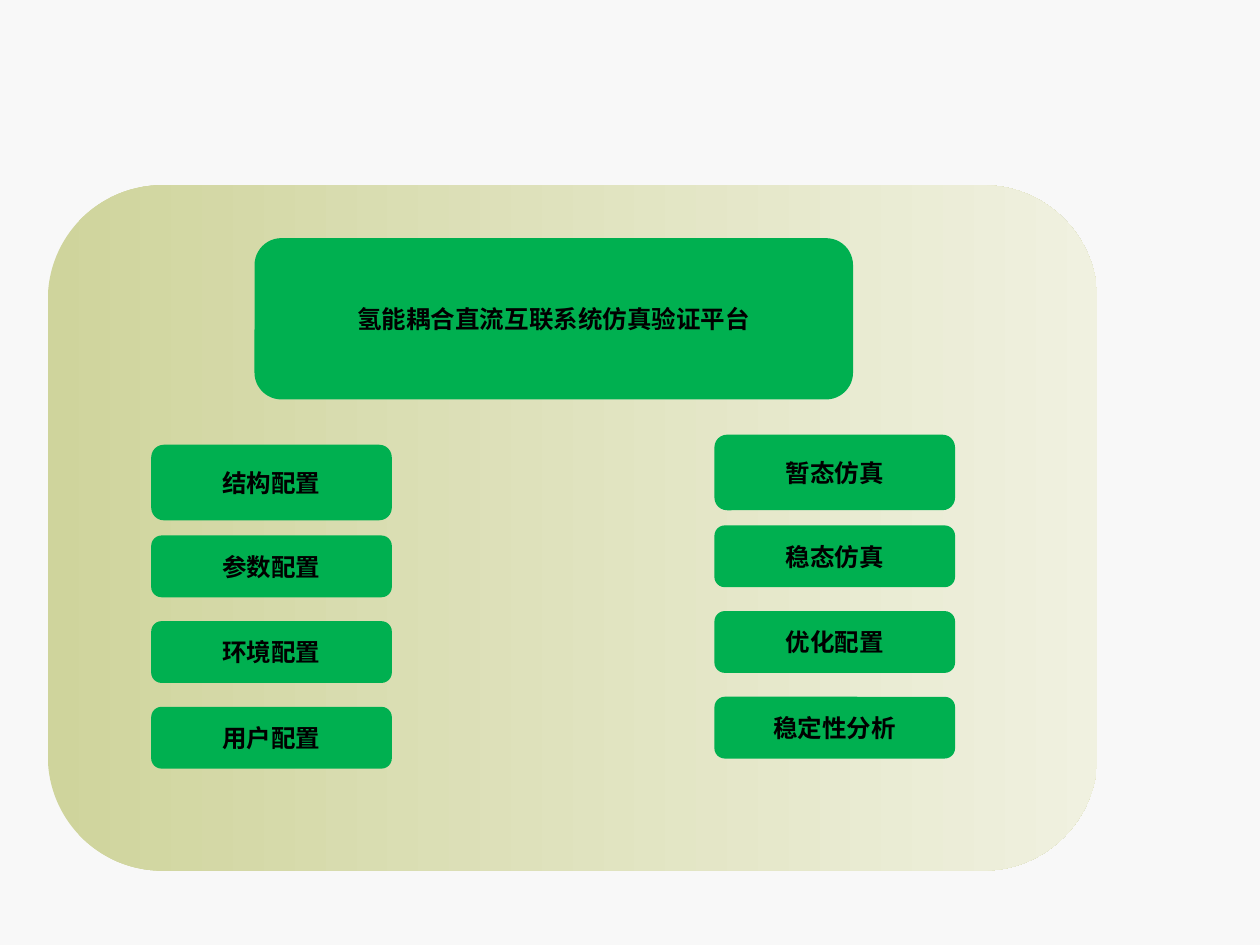
from dataclasses import dataclass

import pptx
import pptx.dml.color
import pptx.enum.shapes
import pptx.enum.text
import pptx.util

Inches = pptx.util.Inches
RGB = pptx.dml.color.RGBColor.from_string


@dataclass(frozen=True)
class Theme:
    background: str = "F8F8F8"
    panel_start: str = "CFD49C"
    panel_end: str = "F0F1E0"
    box: str = "00B050"
    text: str = "000000"
    font: str = "Arial"
    size: int = 14


class Deck:
    def __init__(self, prs, theme):
        self.theme = theme
        self.slide = prs.slides.add_slide(prs.slide_layouts[6])
        fill = self.slide.background.fill
        fill.solid()
        fill.fore_color.rgb = RGB(theme.background)

    def rounded(self, left, top, width, height):
        s = self.slide.shapes.add_shape(
            pptx.enum.shapes.MSO_SHAPE.ROUNDED_RECTANGLE,
            Inches(left), Inches(top), Inches(width), Inches(height))
        s.shadow.inherit = False
        s.line.fill.background()
        return s

    def panel(self, left, top, width, height):
        """Add the large backdrop, shaded from left to right."""
        fill = self.rounded(left, top, width, height).fill
        fill.gradient()
        fill.gradient_angle = 0
        colors = (self.theme.panel_start, self.theme.panel_end)
        for stop, position, color in zip(fill.gradient_stops, (0, 1), colors):
            stop.position = position
            stop.color.rgb = RGB(color)

    def box(self, text, left, top, width, height):
        s = self.rounded(left, top, width, height)
        s.fill.solid()
        s.fill.fore_color.rgb = RGB(self.theme.box)
        tf = s.text_frame
        tf.word_wrap = True
        tf.vertical_anchor = pptx.enum.text.MSO_ANCHOR.MIDDLE
        p = tf.paragraphs[0]
        p.alignment = pptx.enum.text.PP_ALIGN.CENTER
        r = p.add_run()
        r.text = text
        style = {"name": self.theme.font, "bold": True,
                 "size": pptx.util.Pt(self.theme.size)}
        for name, value in style.items():
            setattr(r.font, name, value)
        r.font.color.rgb = RGB(self.theme.text)

    def column(self, labels, left, top):
        """Stack boxes; the first one is taller than the rest."""
        for i, label in enumerate(labels):
            offset, height = (0.04 + 0.68 * i, 0.49) if i else (0, 0.6)
            self.box(label, left, top + offset, 1.91, height)


def main():
    prs = pptx.Presentation()
    prs.slide_width, prs.slide_height = Inches(10), Inches(7.5)
    deck = Deck(prs, Theme())
    deck.panel(0.38, 1.47, 8.33, 5.44)
    deck.box("氢能耦合直流互联系统仿真验证平台", 2.02, 1.89, 4.75, 1.28)
    deck.column(["结构配置", "参数配置", "环境配置", "用户配置"], 1.2, 3.53)
    deck.column(["暂态仿真", "稳态仿真", "优化配置", "稳定性分析"], 5.67, 3.45)
    prs.save("out.pptx")


if __name__ == "__main__":
    main()
